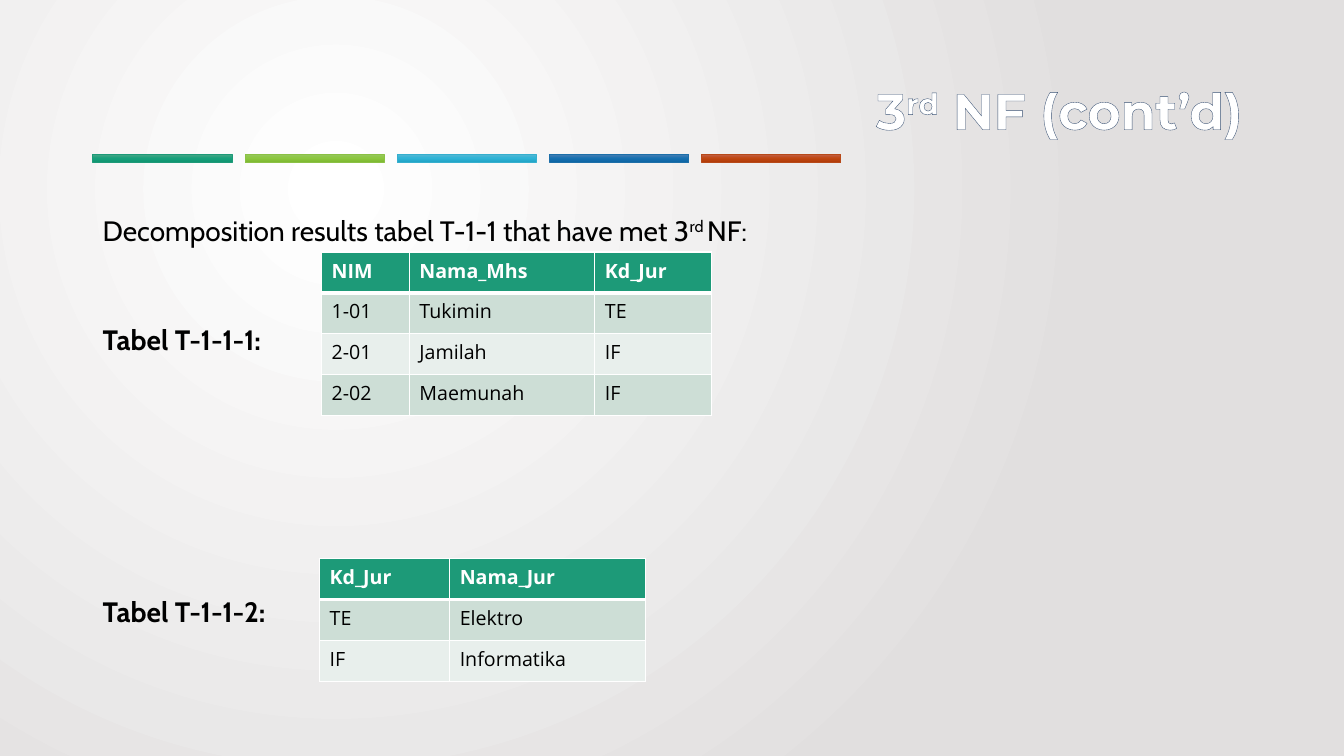
from pptx import Presentation
from pptx.dml.color import RGBColor
from pptx.enum.shapes import MSO_SHAPE as Shape
from pptx.enum.text import MSO_ANCHOR as Anchor, PP_ALIGN as Align
from pptx.oxml import parse_xml
from pptx.oxml.ns import nsdecls, qn
from pptx.util import Pt

EMU_PER_PX = 9144  # 100 px to the inch

WHITE, BLACK = "FFFFFF", "000000"
HEADER_FILL = "1D9A78"
BAND_FILLS = ["CDDED6", "E8EFEC"]
VERTICAL = '<a:lin ang="5400000" scaled="0"/>'
CIRCLE = ('<a:path path="circle">'
          '<a:fillToRect l="50000" t="50000" r="100000" b="100000"/></a:path>')

# gradient from top to bottom, then the outline
BAR_COLORS = [
    (["4EA788", "17A07B", "0F9470"], "1D9A78"),
    (["98C862", "8CC73F", "7DB831"], "8BC145"),
    (["59B8D4", "2EB3D6", "21A4C6"], "36AFCE"),
    (["4E80B5", "1670B0", "0D65A3"], "1D6FA9"),
    (["C2634D", "BF4611", "B13B08"], "B74919"),
]
STUDENTS = [
    ["NIM", "Nama_Mhs", "Kd_Jur"],
    ["1-01", "Tukimin", "TE"],
    ["2-01", "Jamilah", "IF"],
    ["2-02", "Maemunah", "IF"],
]
DEPARTMENTS = [
    ["Kd_Jur", "Nama_Jur"],
    ["TE", "Elektro"],
    ["IF", "Informatika"],
]


def px(*lengths):
    """Turn pixel lengths into a list of EMU."""
    return [round(length * EMU_PER_PX) for length in lengths]


def rgb(color):
    return RGBColor.from_string(color)


def solid_xml(color):
    return f'<a:solidFill><a:srgbClr val="{color}"/></a:solidFill>'


def line_xml(tag, color, points):
    return parse_xml(f'<a:{tag} {nsdecls("a")} w="{Pt(points)}">'
                     f'{solid_xml(color)}</a:{tag}>')


def set_gradient(fill, owner, colors, direction):
    """Spread the colors evenly over the gradient that owner's XML holds."""
    fill.gradient()
    last = len(colors) - 1
    stops = "".join(f'<a:gs pos="{100000 * i // last}"><a:srgbClr val="{color}"/></a:gs>'
                    for i, color in enumerate(colors))
    gradient = owner.find(".//" + qn("a:gradFill"))
    gradient.getparent().replace(gradient, parse_xml(
        f'<a:gradFill {nsdecls("a")} rotWithShape="1">'
        f'<a:gsLst>{stops}</a:gsLst>{direction}</a:gradFill>'))


def add_run(paragraph, text, font, size, color, bold=False, raised=False):
    run = paragraph.add_run()
    run.text = text
    run.font.name = font
    run.font.size = Pt(size)
    run.font.bold = bold
    run.font.color.rgb = rgb(color)
    if raised:
        run.font._element.set("baseline", "30000")
    return run


def add_text_line(slide, box, spacing, anchor=Anchor.TOP, align=Align.LEFT):
    """Add a one-paragraph text box and return its paragraph."""
    frame = slide.shapes.add_textbox(*px(*box)).text_frame
    frame.word_wrap = True
    frame.vertical_anchor = anchor
    paragraph = frame.paragraphs[0]
    paragraph.alignment = align
    paragraph.line_spacing = spacing
    return paragraph


def add_title(slide):
    title = add_text_line(slide, (92, 40, 1150, 145), 0.9, Anchor.MIDDLE, Align.RIGHT)
    for text, raised in [("3", False), ("rd", True), (" NF (cont’d)", False)]:
        run = add_run(title, text, "Montserrat", 36, WHITE, True, raised)
        run.font._element.insert(0, line_xml("ln", "3A5274", 1))


def add_body_line(slide, top, runs, bold=False):
    """Add a line of body text; runs are (text, raised) pairs."""
    line = add_text_line(slide, (92, top, 1150, 50), 1.2)
    for text, raised in runs:
        add_run(line, text, "Cabin", 20, BLACK, bold, raised)


def add_bar(slide, left, gradient, outline):
    bar = slide.shapes.add_shape(Shape.RECTANGLE, *px(left, 153, 138, 8))
    bar.shadow.inherit = False
    set_gradient(bar.fill, bar._element, gradient, VERTICAL)
    bar.line.color.rgb = rgb(outline)
    bar.line.width = Pt(0.5)


def fill_cell(cell, text, is_header, fill):
    add_run(cell.text_frame.paragraphs[0], text, "Open Sans", 14,
            WHITE if is_header else BLACK, is_header)
    cell.fill.solid()
    cell.fill.fore_color.rgb = rgb(fill)
    properties = cell._tc.get_or_add_tcPr()
    for i, side in enumerate(["lnL", "lnR", "lnT", "lnB"]):
        points = 3 if is_header and side == "lnB" else 1
        properties.insert(i, line_xml(side, WHITE, points))


def add_data_table(slide, left, top, height, widths, rows):
    table = slide.shapes.add_table(len(rows), len(widths),
                                   *px(left, top, sum(widths), height)).table
    table.horz_banding = False
    for column, width in zip(table.columns, px(*widths)):
        column.width = width
    for r, values in enumerate(rows):
        table.rows[r].height = px(height / len(rows))[0]
        fill = BAND_FILLS[(r - 1) % 2] if r else HEADER_FILL
        for c, text in enumerate(values):
            fill_cell(table.cell(r, c), text, r == 0, fill)


def main():
    deck = Presentation()
    deck.slide_width, deck.slide_height = px(1333, 750)
    slide = deck.slides.add_slide(deck.slide_layouts[6])
    set_gradient(slide.background.fill, slide.element, [WHITE, "E1DFDF"], CIRCLE)

    for i, (gradient, outline) in enumerate(BAR_COLORS):
        add_bar(slide, 92 + 151 * i, gradient, outline)
    add_title(slide)

    add_body_line(slide, 200, [
        ("Decomposition results tabel T-1-1 that have met 3", False),
        ("rd ", True), ("NF:", False)])
    add_body_line(slide, 308, [("Tabel T-1-1-1:", False)], bold=True)
    add_body_line(slide, 578, [("Tabel T-1-1-2:", False)], bold=True)

    add_data_table(slide, 319, 250, 162, [87, 184, 116], STUDENTS)
    add_data_table(slide, 317, 554, 122, [129, 194], DEPARTMENTS)
    deck.save("out.pptx")


if __name__ == "__main__":
    main()
